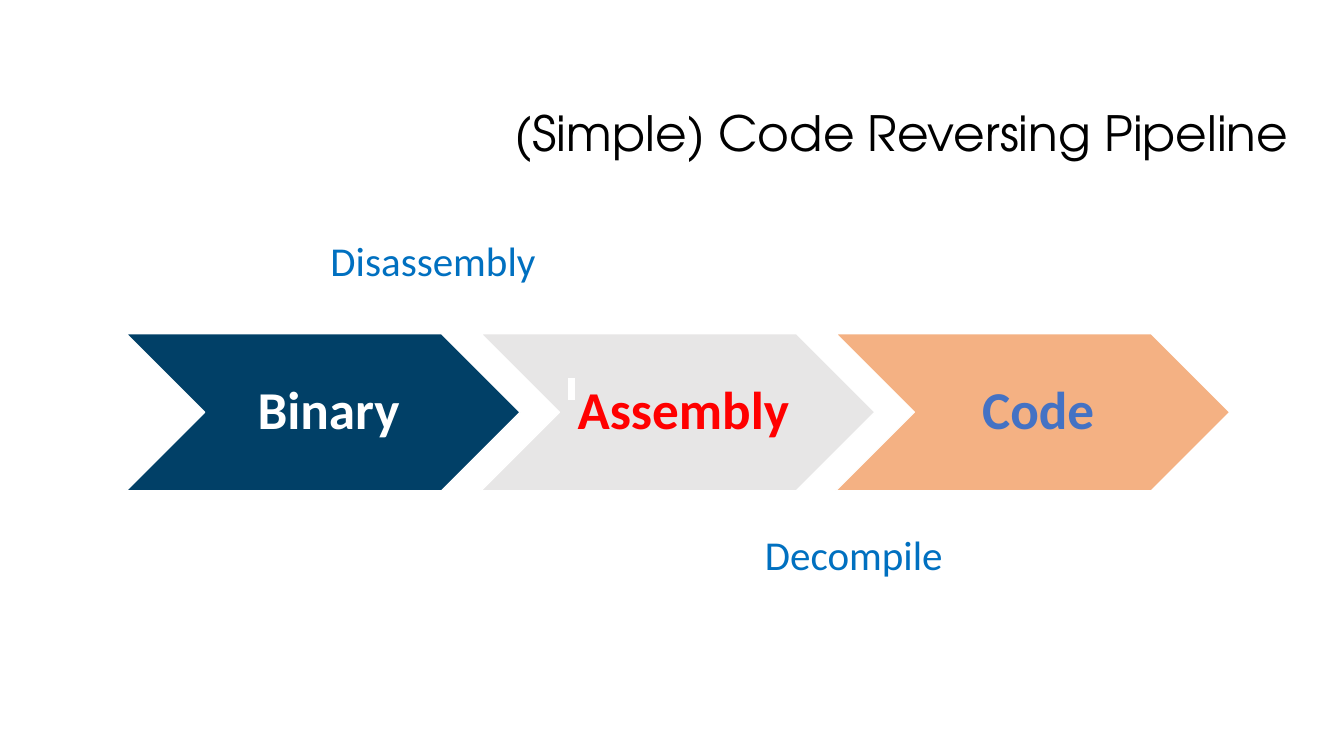
from lxml.etree import SubElement
from pptx import Presentation
from pptx.dml.color import RGBColor
from pptx.enum.shapes import MSO_CONNECTOR, MSO_SHAPE
from pptx.enum.text import MSO_ANCHOR, MSO_AUTO_SIZE, PP_ALIGN
from pptx.oxml.ns import qn
from pptx.util import Inches, Pt

# Grid: every column and row is a tenth of an inch
CELL = 0.1
COLUMNS, ROWS = 133.33, 75
STAGE_LEFT, STAGE_TOP, STAGE_PITCH = 12.5, 33.1, 35.2

STAGES = [
    ("Binary", "014067", "FFFFFF"),
    ("Assembly", "E7E6E6", "FF0000"),
    ("Code", "F4B183", "4472C4"),
]


def grid(*cells):
    return [Inches(cell * CELL) for cell in cells]


def color(hex_string):
    return RGBColor.from_string(hex_string)


class PipelineSlide:
    body_font = "Calibri"
    title_font = "TeX Gyre Adventor"
    white = "FFFFFF"
    label_color = "0070C0"

    def __init__(self, deck):
        self.page = deck.slides.add_slide(deck.slide_layouts[5])

    def set_text(self, box, text, font, size, text_color, align, bold=False):
        frame = box.text_frame
        frame.text = text
        frame.word_wrap = True
        para = frame.paragraphs[0]
        para.alignment = align
        span = para.runs[0]
        span.font.name = font
        span.font.size = Pt(size)
        span.font.bold = bold
        span.font.color.rgb = color(text_color)
        return frame

    def set_margins(self, frame, left, others):
        frame.margin_left = Inches(left)
        frame.margin_top = frame.margin_right = frame.margin_bottom = Inches(others)

    def title(self, text, left, top, width, height):
        box = self.page.shapes.title
        box.left, box.top, box.width, box.height = grid(left, top, width, height)
        frame = self.set_text(box, text, self.title_font, 34.7, "000000", PP_ALIGN.RIGHT)
        frame.auto_size = MSO_AUTO_SIZE.NONE
        frame.vertical_anchor = MSO_ANCHOR.TOP
        self.set_margins(frame, 0.13, 0.13)

    def stage(self, text, fill, text_color, left, top, width, height):
        box = self.page.shapes.add_shape(MSO_SHAPE.CHEVRON, *grid(left, top, width, height))
        box.shadow.inherit = False
        box.fill.solid()
        box.fill.fore_color.rgb = color(fill)
        box.line.color.rgb = color(self.white)
        box.line.width = Pt(1)
        frame = self.set_text(box, text, self.body_font, 38, text_color, PP_ALIGN.CENTER, True)
        frame.paragraphs[0].line_spacing = 0.9
        frame.vertical_anchor = MSO_ANCHOR.MIDDLE
        self.set_margins(frame, 0.17, 0.06)

    def label(self, text, left, top, width, height):
        box = self.page.shapes.add_textbox(*grid(left, top, width, height))
        frame = self.set_text(box, text, self.body_font, 29.3, self.label_color, PP_ALIGN.LEFT)
        frame.auto_size = MSO_AUTO_SIZE.SHAPE_TO_FIT_TEXT

    def tick(self, column, bottom, top):
        line = self.page.shapes.add_connector(
            MSO_CONNECTOR.STRAIGHT, *grid(column, bottom, column, top))
        line.line.color.rgb = color(self.white)
        line.line.width = Pt(4.5)
        SubElement(line._element.spPr, qn("a:effectLst"))


def main():
    deck = Presentation()
    deck.slide_width, deck.slide_height = grid(COLUMNS, ROWS)
    slide = PipelineSlide(deck)

    # Heading
    slide.title("(Simple) Code Reversing Pipeline", 22.9, 8.9, 106.2, 9.5)

    # Pipeline stages
    for index, (name, fill, text_color) in enumerate(STAGES):
        left = STAGE_LEFT + index * STAGE_PITCH
        slide.stage(name, fill, text_color, left, STAGE_TOP, 39.1, 15.6)

    # Steps between the stages
    slide.label("Disassembly", 31.8, 22.9, 31.8, 5.9)
    slide.label("Decompile", 74.9, 52, 27.8, 5.9)

    # Small mark on the middle stage
    slide.tick(56.7, 39.7, 37.5)

    deck.save("out.pptx")


if __name__ == "__main__":
    main()
